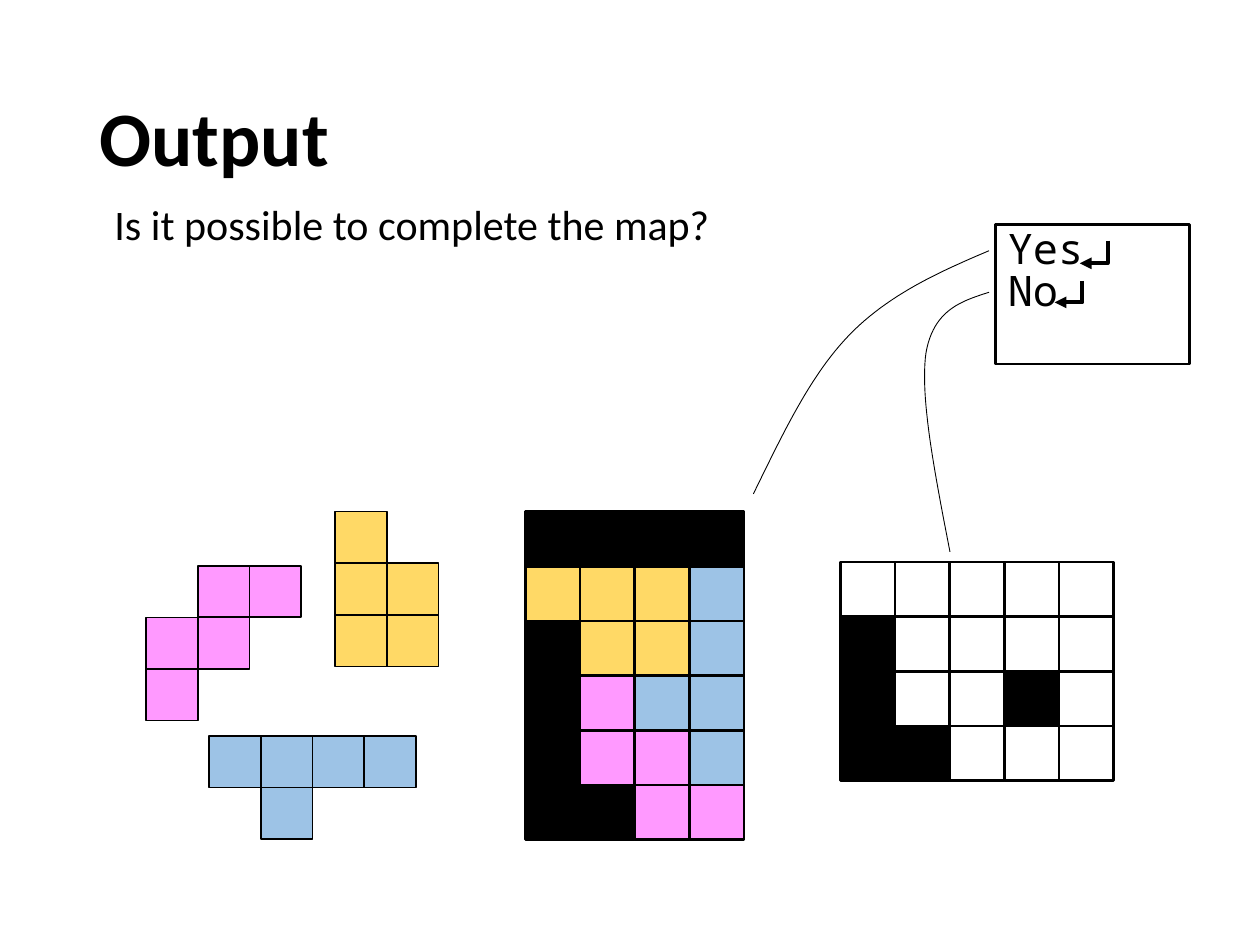
"""Build the "Output" slide: puzzle pieces, two maps and their answers."""
from lxml.etree import SubElement
from pptx import Presentation
from pptx.dml.color import RGBColor
from pptx.enum.shapes import MSO_SHAPE
from pptx.enum.text import MSO_ANCHOR, PP_ALIGN
from pptx.oxml.ns import qn
from pptx.util import Inches, Pt

BLACK = RGBColor(0x00, 0x00, 0x00)
YELLOW = RGBColor(0xFF, 0xD9, 0x66)
PINK = RGBColor(0xFF, 0x99, 0xFF)
BLUE = RGBColor(0x9D, 0xC3, 0xE6)

TITLE = "Output"
QUESTION = "Is it possible to complete the map?"
ANSWERS = ["Yes", "No"]

FILLS = {"#": BLACK, "Y": YELLOW, "P": PINK, "B": BLUE, ".": None}
PIECE_CELL = Inches(0.41)
MAP_CELL = Inches(2.17) / 5
GRIDS = [
    (4.17, 4.06, MAP_CELL, 1.5, ["####", "YYYB", "#YYB", "#PBB", "#PPB", "##PP"]),
    (2.66, 4.06, PIECE_CELL, 1, ["Y ", "YY", "YY"]),
    (1.66, 5.84, PIECE_CELL, 1, ["BBBB", " B  "]),
    (1.16, 4.49, PIECE_CELL, 1, [" PP", "PP ", "P  "]),
    (6.67, 4.46, MAP_CELL, 1.5, [".....", "#....", "#..#.", "##..."]),
]
RETURN_ARROWS = [
    [(8.79, 1.91), (8.79, 2.09), (8.57, 2.09)],
    [(8.59, 2.23), (8.59, 2.40), (8.37, 2.40)],
]
CURVES = [
    [(7.85, 2.32), (7.63, 2.39), (7.41, 2.46), (7.35, 2.80),
     (7.30, 3.15), (7.42, 3.76), (7.54, 4.38)],
    [(7.85, 1.99), (7.45, 2.16), (7.05, 2.34), (6.74, 2.66),
     (6.43, 2.98), (6.21, 3.45), (5.98, 3.92)],
]
CURVE_STEPS = 24


def write_text(box, lines, size=24, font="Calibri", bold=False,
               anchor=MSO_ANCHOR.TOP, spacing=None):
    frame = box.text_frame
    frame.word_wrap = True
    frame.vertical_anchor = anchor
    for index, line in enumerate(lines):
        para = frame.add_paragraph() if index else frame.paragraphs[0]
        para.alignment = PP_ALIGN.LEFT
        para.line_spacing = spacing
        span = para.add_run()
        span.text = line
        span.font.name = font
        span.font.size = Pt(size)
        span.font.bold = bold
        span.font.color.rgb = BLACK


def style_shape(shape, width, fill=None):
    shape.shadow.inherit = False
    if fill is None:
        shape.fill.background()
    else:
        shape.fill.solid()
        shape.fill.fore_color.rgb = fill
    shape.line.color.rgb = BLACK
    shape.line.width = Pt(width)


def draw_grid(page, left, top, cell, width, rows):
    group = page.shapes.add_group_shape()
    for row, marks in enumerate(rows):
        for column, mark in enumerate(marks):
            if mark in FILLS:
                square = group.shapes.add_shape(
                    MSO_SHAPE.RECTANGLE, round(Inches(left) + column * cell),
                    round(Inches(top) + row * cell), round(cell), round(cell))
                style_shape(square, width, FILLS[mark])


def draw_path(page, points, width, arrow=False):
    start, *others = [(Inches(x), Inches(y)) for x, y in points]
    builder = page.shapes.build_freeform(*start)
    builder.add_line_segments(others, close=False)
    path = builder.convert_to_shape()
    style_shape(path, width)
    if arrow:
        line = path.element.spPr.find(qn("a:ln"))
        SubElement(line, qn("a:tailEnd"), type="triangle")


def bezier_point(controls, t):
    weights = ((1 - t) ** 3, 3 * t * (1 - t) ** 2, 3 * t ** 2 * (1 - t), t ** 3)
    return tuple(sum(w * c for w, c in zip(weights, axis)) for axis in zip(*controls))


def trace_curve(controls):
    points = [controls[0]]
    for first in range(0, len(controls) - 1, 3):
        points += [bezier_point(controls[first:first + 4], step / CURVE_STEPS)
                   for step in range(1, CURVE_STEPS + 1)]
    return points


def main():
    deck = Presentation()
    deck.slide_width, deck.slide_height = Inches(10), Inches(7.5)
    page = deck.slides.add_slide(deck.slide_layouts[5])

    title = page.shapes.title
    title.left, title.top = Inches(0.69), Inches(0.4)
    title.width, title.height = Inches(8.62), Inches(1.45)
    write_text(title, [TITLE], size=44, bold=True,
               anchor=MSO_ANCHOR.MIDDLE, spacing=0.9)

    answer_box = page.shapes.add_shape(
        MSO_SHAPE.RECTANGLE, Inches(7.9), Inches(1.78), Inches(1.54), Inches(1.11))
    style_shape(answer_box, 1.5)
    write_text(answer_box, ANSWERS, font="Noto Sans Mono", spacing=Pt(24))

    question_box = page.shapes.add_textbox(
        Inches(0.81), Inches(1.53), Inches(5.78), Inches(1.31))
    write_text(question_box, [QUESTION])

    for points in RETURN_ARROWS:
        draw_path(page, points, 2.25, arrow=True)
    for grid in GRIDS:
        draw_grid(page, *grid)
    for controls in CURVES:
        draw_path(page, trace_curve(controls), 0.5)

    deck.save("out.pptx")


if __name__ == "__main__":
    main()
